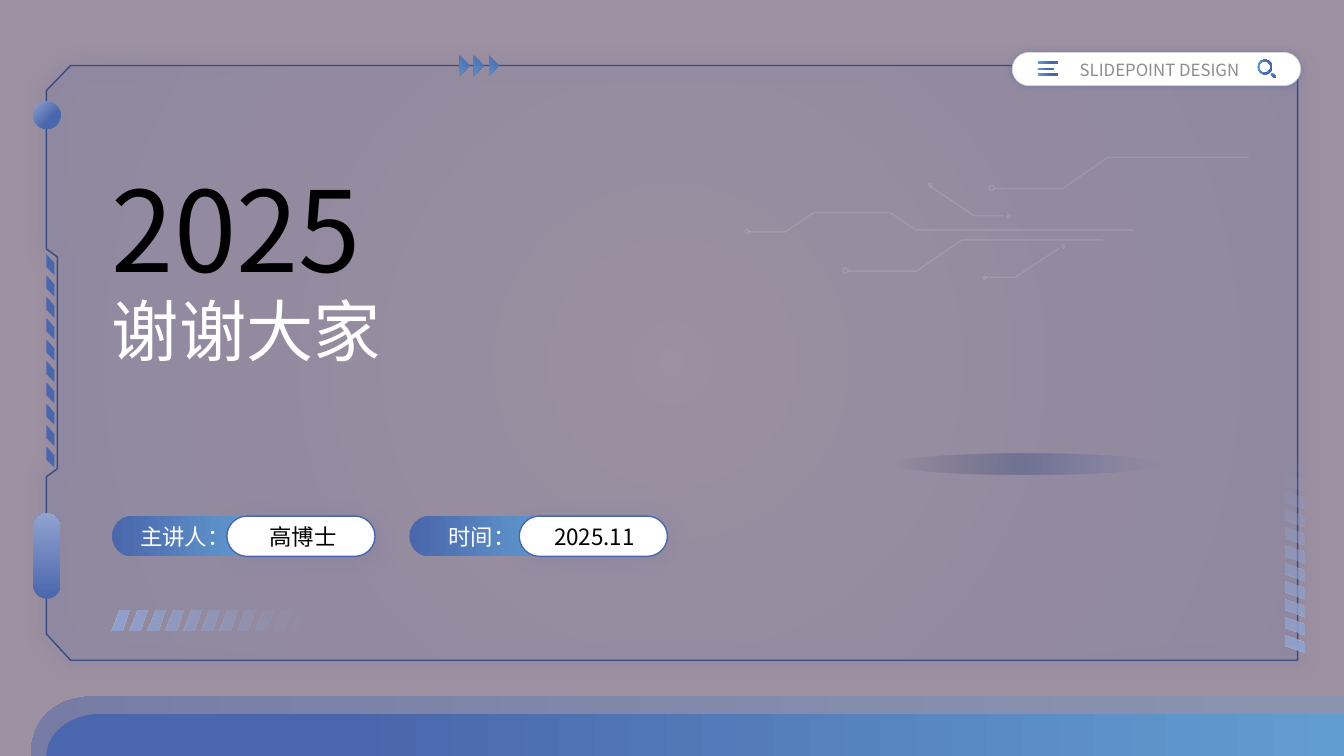
import math

from lxml import etree
from pptx import Presentation
from pptx import util as u
from pptx.dml.color import RGBColor
from pptx.enum import shapes, text
from pptx.oxml import ns

PX = 9144  # one hundredth of an inch
FONT = "Noto Sans CJK SC"
C = {"mauve": "9D90A0", "blue": "4A66AC", "sky": "629DD1", "pale": "90A2CF",
     "navy": "384C81", "deep": "253356", "trace": "E0EBF6", "rim": "D9D9D9",
     "grey": "404040", "white": "FFFFFF", "black": "000000"}
BLUE_SKY = (0, [(0, "blue", 100), (100, "sky", 100)])
ICON = (0, [(0, "sky", 100), (64, "blue", 100)])
PALE_FADE = [(0, "pale", 100), (100, "pale", 0)]
KIND = shapes.MSO_SHAPE

prs = Presentation()
prs.slide_width, prs.slide_height = 1333 * PX, 750 * PX
s = prs.slides.add_slide(prs.slide_layouts[6])


def paint(sp, fill=None, line=None, shadow=None):
    """fill: colour or (angle or "circle", stops); line: (colour, pt, alpha);
    shadow: (alpha, blur pt, distance pt, angle)."""
    spPr = sp._element.spPr
    if fill is None:
        sp.fill.background()
    elif isinstance(fill, str):
        sp.fill.solid()
        sp.fill.fore_color.rgb = RGBColor.from_string(C[fill])
    else:
        angle, stops = fill
        grad = etree.Element(ns.qn("a:gradFill"), rotWithShape="1")
        gs_list = etree.SubElement(grad, ns.qn("a:gsLst"))
        for pos, colour, alpha in stops:
            gs = etree.SubElement(gs_list, ns.qn("a:gs"), pos=str(pos * 1000))
            clr = etree.SubElement(gs, ns.qn("a:srgbClr"), val=C[colour])
            etree.SubElement(clr, ns.qn("a:alpha"), val=str(alpha * 1000))
        if angle == "circle":
            way = etree.SubElement(grad, ns.qn("a:path"), path="circle")
            etree.SubElement(way, ns.qn("a:fillToRect"), {k: "50000" for k in "ltrb"})
        else:
            etree.SubElement(grad, ns.qn("a:lin"), ang=str(angle * 60000), scaled="0")
        spPr.insert(2, grad)
    if line:
        colour, width, alpha = line
        sp.line.color.rgb = RGBColor.from_string(C[colour])
        sp.line.width = u.Pt(width)
        clr = spPr.find(ns.qn("a:ln")).find(".//" + ns.qn("a:srgbClr"))
        etree.SubElement(clr, ns.qn("a:alpha"), val=str(alpha * 1000))
    else:
        sp.line.fill.background()
    sp.shadow.inherit = False
    if shadow:
        alpha, blur, dist, angle = shadow
        outer = etree.SubElement(
            spPr.find(ns.qn("a:effectLst")), ns.qn("a:outerShdw"),
            blurRad=str(u.Pt(blur)), dist=str(u.Pt(dist)), dir=str(angle * 60000),
            algn="ctr", rotWithShape="0")
        clr = etree.SubElement(outer, ns.qn("a:srgbClr"), val=C["blue"])
        etree.SubElement(clr, ns.qn("a:alpha"), val=str(alpha * 1000))


def outline(contours, close=True, **style):
    contours = [[(x * PX, y * PX) for x, y in pts] for pts in contours]
    builder = s.shapes.build_freeform(*contours[0][0], scale=1.0)
    for i, pts in enumerate(contours):
        if i:
            builder.move_to(*pts[0])
        builder.add_line_segments(pts[1:], close=close)
    paint(builder.convert_to_shape(), **style)


# Background and frame
bg = s.shapes.add_shape(KIND.RECTANGLE, -2 * PX, 0, 1335 * PX, 750 * PX)
paint(bg, "mauve")
outline([[(70, 65), (1287, 65), (1287, 655), (70, 655), (46, 629), (46, 473),
          (57, 465), (57, 255), (46, 247), (46, 90)]],
        fill=("circle", [(0, "blue", 0), (100, "blue", 10)]),
        line=("navy", 1, 100), shadow=(70, 15, 0, 0))

# Slanted stripes: bottom, right edge, left edge
outline([[(x + 8, 606), (x + 18, 606), (x + 11, 626), (x, 626)]
         for x in (111 + 17.7 * i for i in range(11))], fill=(0, PALE_FADE))
outline([[(1275, y), (1294, y + 7), (1294, y + 18), (1275, y + 11)]
         for y in (452 + 17.7 * i for i in range(11))], fill=(270, PALE_FADE))
outline([[(46, y), (54, y + 9), (54, y + 21), (46, y + 13)]
         for y in (252 + 21.2 * i for i in range(10))], fill="blue")

# Circuit traces and their end dots
TRACE = ("trace", 1, 15)
for trace in ([(1094, 238), (954, 238), (909, 269), (841, 269)],
              [(1239, 156), (1099, 156), (1054, 187), (986, 187)],
              [(923, 185), (966, 214), (996, 214)],
              [(1051, 246), (1007, 275), (977, 275)],
              [(1125, 228), (908, 228), (883, 211), (807, 211), (779, 230), (742, 230)]):
    outline([trace], close=False, line=TRACE)
for x, y, d in ((836, 266, 5), (981, 184, 5), (999, 213, 3), (921, 182, 3),
                (975, 274, 3), (1053, 243, 3), (739, 228, 4)):
    dot = s.shapes.add_shape(KIND.OVAL, x * PX, y * PX, d * PX, d * PX)
    paint(dot, line=TRACE)

# Bottom bars with a rounded top-left corner
for left, top, rx, ry, stops in (
        (31, 691, 56, 49, [(0, "blue", 46), (100, "sky", 31)]),
        (46, 708, 55, 42, [(23, "blue", 100), (100, "sky", 100)])):
    corner = [(left + rx * (1 - math.cos(a)), top + ry * (1 - math.sin(a)))
              for a in (math.pi / 2 * i / 24 for i in range(25))]
    outline([corner + [(1333, top), (1333, 750), (left, 750)]], fill=(0, stops))

# Pills: side handle, header, label and value pairs, menu bars
CARD = dict(fill="white", line=("blue", 1, 100), shadow=(15, 15, 3, 45))
for x, y, w, h, style in (
        (33, 509, 27, 85, dict(fill=(270, [(0, "blue", 100), (100, "pale", 100)]))),
        (1004, 52, 286, 33, dict(fill="white", line=("rim", 0.5, 100), shadow=(40, 5, 0, 0))),
        (111, 512, 143, 40, dict(fill=BLUE_SKY)), (225, 512, 147, 40, CARD),
        (406, 512, 143, 40, dict(fill=BLUE_SKY)), (515, 512, 147, 40, CARD),
        (1029, 61, 21, 3, dict(fill=ICON)), (1029, 67, 16, 2, dict(fill=ICON)),
        (1029, 72, 21, 3, dict(fill=ICON))):
    pill = s.shapes.add_shape(KIND.ROUNDED_RECTANGLE, x * PX, y * PX, w * PX, h * PX)
    pill.adjustments[0] = 0.5
    paint(pill, **style)

# Search icon
lens = s.shapes.add_shape(KIND.DONUT, 1247 * PX, 59 * PX, 15 * PX, 15 * PX)
lens.adjustments[0] = 0.12
paint(lens, ICON)
handle = s.shapes.add_shape(KIND.ROUNDED_RECTANGLE, 1260 * PX, 74 * PX, 6 * PX, 2 * PX)
handle.adjustments[0] = 0.5
handle.rotation = 45
paint(handle, ICON)

# Arrow triangles on the top edge
for x in (449, 463, 478):
    arrow = s.shapes.add_shape(KIND.RIGHT_TRIANGLE, x * PX, 58 * PX, 14 * PX, 14 * PX)
    arrow.rotation = 225
    paint(arrow, (270, BLUE_SKY[1]))

# Corner ball and soft floor ellipse
ball = s.shapes.add_shape(KIND.OVAL, 33 * PX, 101 * PX, 27 * PX, 27 * PX)
paint(ball, (45, [(0, "pale", 100), (64, "blue", 100)]))
floor = s.shapes.add_shape(KIND.OVAL, 885 * PX, 450 * PX, 266 * PX, 21 * PX)
paint(floor, (0, [(0, "deep", 0), (49, "navy", 39), (100, "blue", 0)]))

# Texts
LEFT, CENTER = text.PP_ALIGN.LEFT, text.PP_ALIGN.CENTER
TOP, MIDDLE = text.MSO_ANCHOR.TOP, text.MSO_ANCHOR.MIDDLE
for words, x, y, w, h, size, colour, align, anchor, spacing in (
        ("2025", 111, 146, 406, 112, 80, "black", LEFT, TOP, 1.1),
        ("谢谢大家", 111, 263, 671, 216, 48, "white", LEFT, TOP, 1.3),
        ("SLIDEPOINT DESIGN", 1054, 56, 192, 24, 12, "grey", CENTER, MIDDLE, 1.1),
        ("高博士", 261, 517, 79, 30, 16, "black", CENTER, MIDDLE, 1.0),
        ("2025.11", 542, 517, 95, 30, 16, "black", CENTER, MIDDLE, 1.0),
        ("主讲人：", 139, 517, 97, 30, 16, "white", LEFT, MIDDLE, 1.0),
        ("时间：", 445, 517, 69, 30, 16, "white", LEFT, MIDDLE, 1.0)):
    tf = s.shapes.add_textbox(x * PX, y * PX, w * PX, h * PX).text_frame
    tf.margin_left = tf.margin_right = tf.margin_top = tf.margin_bottom = 0
    tf.word_wrap = True
    tf.vertical_anchor = anchor
    tf.text = words
    p = tf.paragraphs[0]
    p.alignment = align
    p.line_spacing = spacing
    r = p.runs[0]
    r.font.size = u.Pt(size)
    r.font.name = FONT
    r.font.color.rgb = RGBColor.from_string(C[colour])
    rPr = r.font._element
    etree.SubElement(rPr, ns.qn("a:ea"), typeface=FONT)
    if colour == "grey":
        clr = rPr.find(".//" + ns.qn("a:srgbClr"))
        etree.SubElement(clr, ns.qn("a:alpha"), val="60000")

prs.save("out.pptx")
